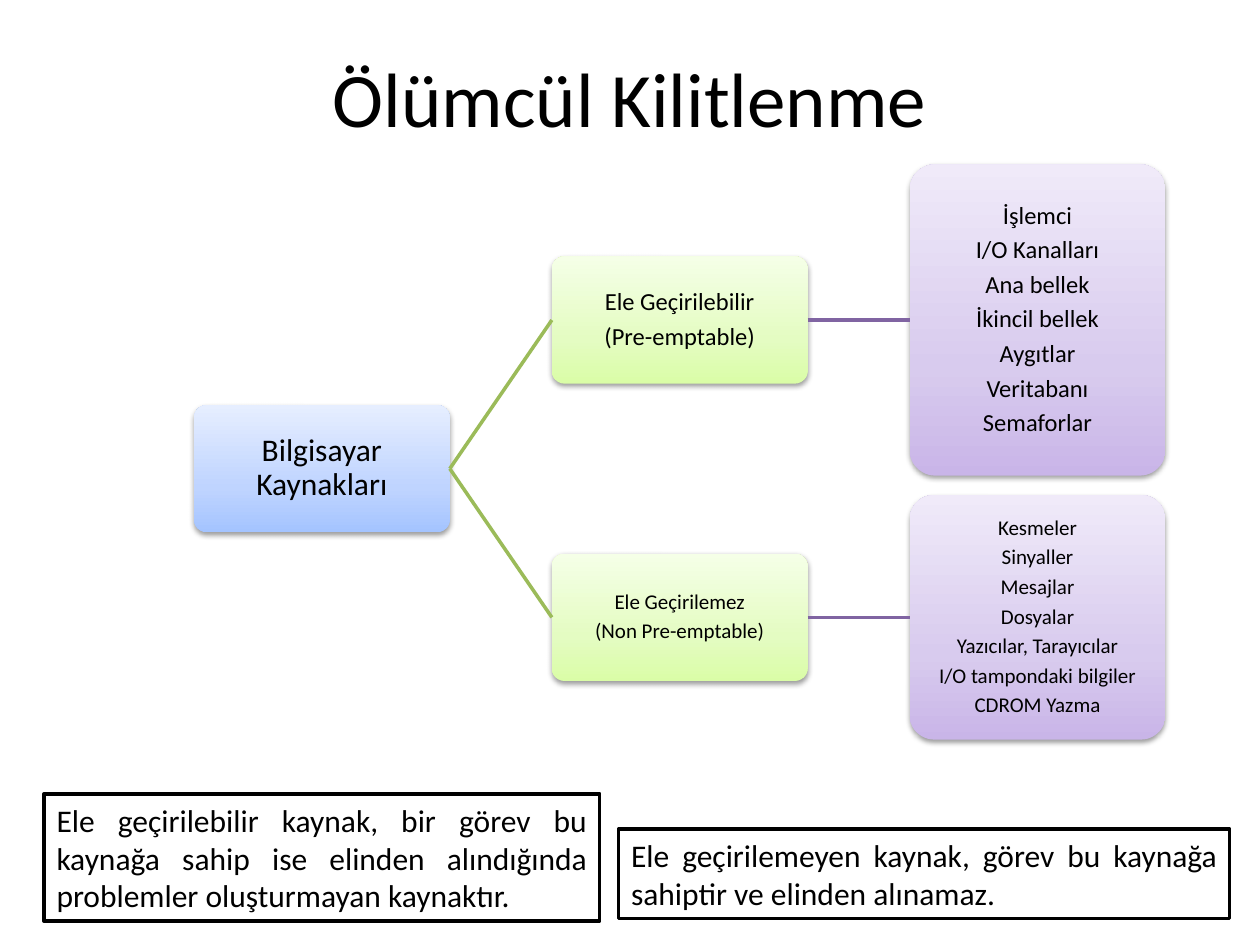
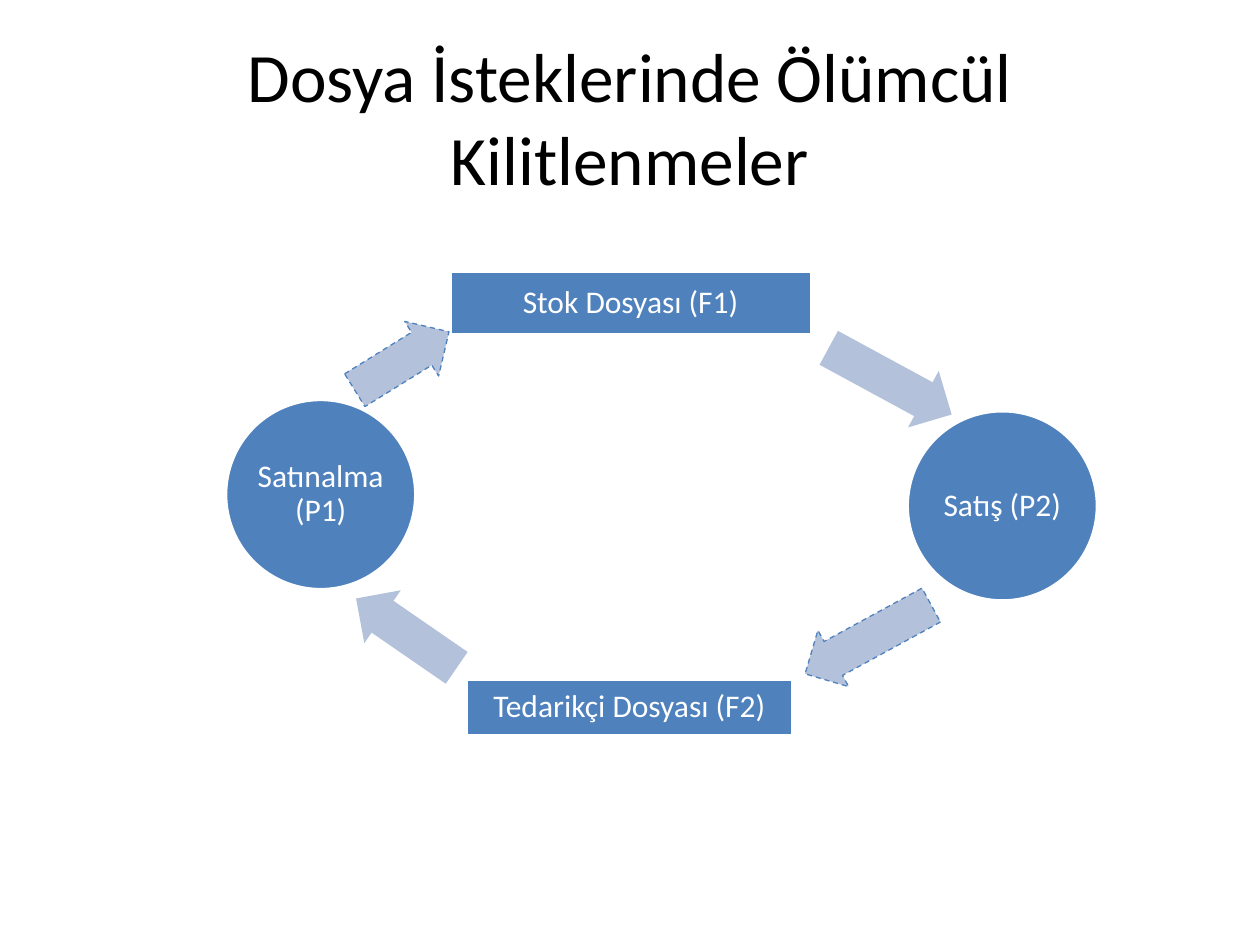
from collections import namedtuple
from dataclasses import dataclass

from lxml.etree import SubElement
from pptx import Presentation
from pptx.dml.color import RGBColor
from pptx.enum.dml import MSO_LINE
from pptx.enum.shapes import MSO_CONNECTOR, MSO_SHAPE
from pptx.enum.text import MSO_ANCHOR, PP_ALIGN
from pptx.oxml.ns import qn
from pptx.util import Inches, Pt

Box = namedtuple("Box", "x y w h")


@dataclass(frozen=True)
class Theme:
    font: str = "Calibri"
    black: str = "000000"
    white: str = "FFFFFF"
    blue: str = "4F81BD"
    pale: str = "B3C1DB"
    green: str = "9BBB59"
    purple: str = "8064A2"
    blues: tuple = ("A4C4FF", "BFD4FF", "E6EEFF")
    greens: tuple = ("DAFDA7", "E4FCC2", "F5FFE7")
    purples: tuple = ("C9B5E8", "D8CBEE", "F0EAF9")
    title: float = 44
    long_title: float = 39.6
    body: float = 18
    leaf: float = 14
    small: float = 12
    line: float = 2


T = Theme()


def rgb(code):
    return RGBColor.from_string(code)


def write(shape, lines, size, color=T.black, align=PP_ALIGN.CENTER):
    frame = shape.text_frame
    frame.word_wrap = True
    frame.vertical_anchor = MSO_ANCHOR.MIDDLE
    frame.text = "\n".join(lines)
    for para in frame.paragraphs:
        para.alignment = align
        para.font.name = T.font
        para.font.size = Pt(size)
        para.font.color.rgb = rgb(color)


def tighten(shape, inset):
    """Give diagram text small margins, close lines and a gap after each."""
    frame = shape.text_frame
    frame.margin_left = frame.margin_right = Inches(inset)
    frame.margin_top = frame.margin_bottom = Inches(inset)
    for para in frame.paragraphs:
        para.line_spacing = 0.9
        para.space_after = Pt(0.33 * para.font.size.pt)


def draw(slide, kind, box, fill=None, line=None, width=T.line):
    shape = slide.shapes.add_shape(kind, *map(Inches, box))
    shape.shadow.inherit = False
    if fill:
        shape.fill.solid()
        shape.fill.fore_color.rgb = rgb(fill)
    if line:
        shape.line.color.rgb = rgb(line)
        shape.line.width = Pt(width)
    else:
        shape.line.fill.background()
    return shape


def add_color(parent, code):
    return SubElement(parent, qn("a:srgbClr"), val=code)


def shade(shape, colors):
    """Fill from bottom to top with three colours and cast a soft shadow."""
    shape.fill.gradient()
    shape.fill.gradient_angle = 90
    props = shape._element.spPr
    stops = props.find(".//" + qn("a:gsLst"))
    for stop in list(stops):
        stops.remove(stop)
    for place, code in zip((0, 35, 100), colors):
        add_color(SubElement(stops, qn("a:gs"), pos=str(place * 1000)), code)
    cast = SubElement(props.find(qn("a:effectLst")), qn("a:outerShdw"),
                      blurRad="40000", dist="20000", dir="5400000",
                      rotWithShape="0")
    SubElement(add_color(cast, T.black), qn("a:alpha"), val="38000")


def title(slide, box, text, size=T.title):
    write(slide.shapes.add_textbox(*map(Inches, box)), [text], size)


def node(slide, x, mid, h, colors, lines, size):
    """Add a rounded tree box whose middle lies at height mid."""
    shape = draw(slide, MSO_SHAPE.ROUNDED_RECTANGLE,
                 Box(x, mid - h / 2, 2.03, h))
    shape.adjustments[0] = 0.1
    shade(shape, colors)
    write(shape, lines, size)
    tighten(shape, 0.01)
    return shape


def join(slide, start, end, color):
    link = slide.shapes.add_connector(MSO_CONNECTOR.STRAIGHT, 0, 0, 0, 0)
    link.begin_connect(start, 3)
    link.end_connect(end, 1)
    link.line.color.rgb = rgb(color)
    link.line.width = Pt(T.line)
    SubElement(link._element.spPr, qn("a:effectLst"))


def tree(slide, box):
    branches = (
        (1.23, 2.47, T.leaf, ("Ele Geçirilebilir", "(Pre-emptable)"),
         ("İşlemci", "I/O Kanalları", "Ana bellek", "İkincil bellek",
          "Aygıtlar", "Veritabanı", "Semaforlar")),
        (3.59, 1.94, T.small, ("Ele Geçirilemez", "(Non Pre-emptable)"),
         ("Kesmeler", "Sinyaller", "Mesajlar", "Dosyalar",
          "Yazıcılar, Tarayıcılar", "I/O tampondaki bilgiler",
          "CDROM Yazma")),
    )
    step, high = 2.84, 1.01
    mid = sum(branch[0] for branch in branches) / 2
    root = node(slide, box.x, box.y + mid, high, T.blues,
                ["Bilgisayar Kaynakları"], T.body)
    for mid, tall, size, name, items in branches:
        kind = node(slide, box.x + step, box.y + mid, high, T.greens,
                    name, size)
        leaf = node(slide, box.x + 2 * step, box.y + mid, tall, T.purples,
                    items, size)
        join(slide, root, kind, T.green)
        join(slide, kind, leaf, T.purple)


def notes(slide, box):
    parts = (
        (Box(0, 0, 4.41, 1.01),
         "Ele geçirilebilir kaynak, bir görev bu kaynağa sahip ise elinden "
         "alındığında problemler oluşturmayan kaynaktır."),
        (Box(4.56, 0.28, 4.85, 0.71),
         "Ele geçirilemeyen kaynak, görev bu kaynağa sahiptir ve elinden "
         "alınamaz."),
    )
    for part, text in parts:
        place = part._replace(x=box.x + part.x, y=box.y + part.y)
        note = draw(slide, MSO_SHAPE.RECTANGLE, place, T.white, T.black)
        write(note, [text], T.body, align=PP_ALIGN.JUSTIFY)


def cycle(slide, box):
    """Ring of files and processes; dashed arrows mark the requests."""
    files = MSO_SHAPE.RECTANGLE
    tasks = MSO_SHAPE.OVAL
    stations = (
        (files, Box(1.78, 0, 2.87, 0.51), "Stok Dosyası (F1)"),
        (tasks, Box(5.41, 1.11, 1.51, 1.51), "Satış (P2)"),
        (files, Box(1.91, 3.24, 2.59, 0.45), "Tedarikçi Dosyası (F2)"),
        (tasks, Box(0, 1.02, 1.51, 1.51), "Satınalma (P1)"),
    )
    arrows = (
        (4.72, 0.62, 1.11, 28.5, False),
        (4.53, 2.67, 1.14, 151.4, True),
        (0.95, 2.62, 0.97, 214.6, False),
        (0.96, 0.46, 0.88, 328.2, True),
    )
    for kind, part, text in stations:
        place = part._replace(x=box.x + part.x, y=box.y + part.y)
        shape = draw(slide, kind, place, T.blue, T.white)
        write(shape, [text], T.body, T.white)
        tighten(shape, 0.03)
    for x, y, long, turn, dashed in arrows:
        arrow = draw(slide, MSO_SHAPE.RIGHT_ARROW,
                     Box(box.x + x, box.y + y, long, 0.51), T.pale,
                     T.blue if dashed else None, 0.75)
        arrow.adjustments[0] = 0.6
        arrow.adjustments[1] = 0.5
        arrow.rotation = turn
        if dashed:
            arrow.line.dash_style = MSO_LINE.DASH


def main():
    deck = Presentation()
    deck.slide_width, deck.slide_height = Inches(10), Inches(7.5)
    blank = deck.slide_layouts[6]

    kinds = deck.slides.add_slide(blank)
    title(kinds, Box(0.5, 0.3, 9, 0.93), "Ölümcül Kilitlenme")
    tree(kinds, Box(1.54, 1.31, 7.71, 4.56))
    notes(kinds, Box(0.35, 6.3, 9.41, 1.01))

    ring = deck.slides.add_slide(blank)
    title(ring, Box(0.5, 0.3, 9, 1.25),
          "Dosya İsteklerinde Ölümcül Kilitlenmeler", T.long_title)
    cycle(ring, Box(1.79, 2.15, 6.92, 3.69))

    deck.save("out.pptx")


if __name__ == "__main__":
    main()
